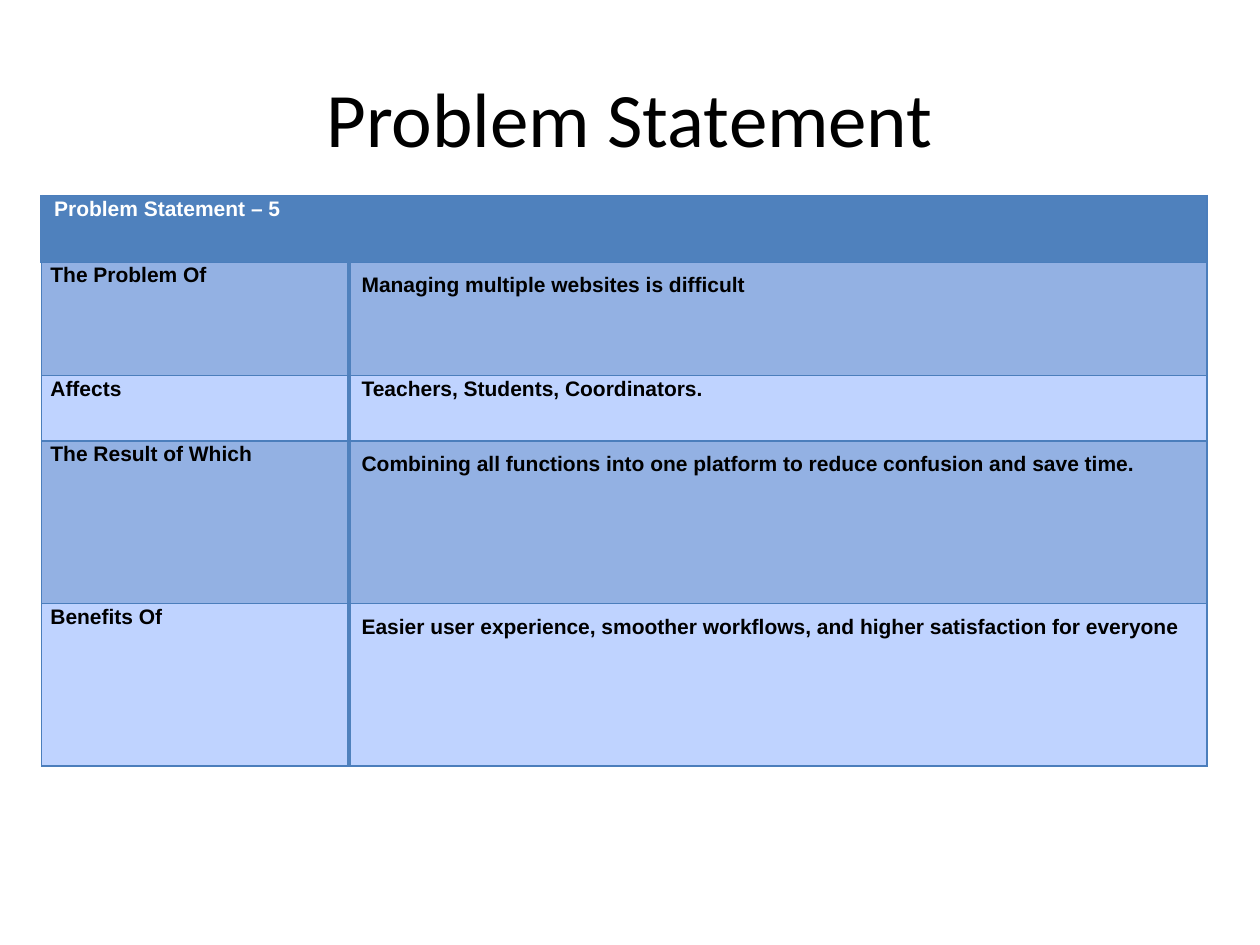
from dataclasses import dataclass

from lxml.etree import SubElement
from pptx import Presentation
from pptx.dml.color import RGBColor
from pptx.enum.text import MSO_ANCHOR, PP_ALIGN as Align
from pptx.oxml.ns import qn
from pptx.util import Inches, Pt


@dataclass(frozen=True)
class Theme:
    ink: str = "000000"
    paper: str = "FFFFFF"
    header: str = "4F81BD"
    dark_band: str = "93B1E3"
    light_band: str = "BFD3FF"
    rule: str = "4B7EBC"
    title_font: str = "Calibri"
    body_font: str = "Arial"
    title_size: int = 44
    body_size: int = 12
    thin: float = 0.75
    thick: float = 2


class Deck:
    """Places elements on a grid of 100 columns by 100 rows."""

    def __init__(self, theme):
        self.theme = theme
        self.deck = Presentation()
        self.deck.slide_width, self.deck.slide_height = Inches(10), Inches(7.5)
        self.slide = self.deck.slides.add_slide(self.deck.slide_layouts[6])

    def x(self, columns):
        return round(self.deck.slide_width * columns / 100)

    def y(self, rows):
        return round(self.deck.slide_height * rows / 100)

    def box(self, left, top, width, height):
        return self.x(left), self.y(top), self.x(width), self.y(height)

    def text(self, frame, wording, color, font, paragraph):
        line = frame.paragraphs[0]
        run = line.add_run()
        run.text = wording
        for target, values in ((line, paragraph), (run.font, font)):
            for name, value in values.items():
                setattr(target, name, value)
        run.font.color.rgb = RGBColor.from_string(color)
        return line

    def title(self, wording, *area):
        frame = self.slide.shapes.add_textbox(*self.box(*area)).text_frame
        frame.word_wrap = True
        frame.vertical_anchor = MSO_ANCHOR.MIDDLE
        font = {"name": self.theme.title_font, "size": Pt(self.theme.title_size)}
        self.text(frame, wording, self.theme.ink, font, {"alignment": Align.CENTER})

    def table(self, left, top, widths, heights):
        area = self.box(left, top, sum(widths), sum(heights))
        grid = self.slide.shapes.add_table(len(heights), len(widths), *area).table
        grid.first_row = grid.horz_banding = False
        for column, width in zip(grid.columns, widths):
            column.width = self.x(width)
        for row, height in zip(grid.rows, heights):
            row.height = self.y(height)
        return grid

    def cell(self, cell, wording, fill, color, indent, spacing=1.07,
             align=Align.LEFT, thick_sides=""):
        for side in ("left", "right", "top", "bottom"):
            setattr(cell, f"margin_{side}", 0)
        font = {"name": self.theme.body_font, "size": Pt(self.theme.body_size),
                "bold": True}
        paragraph = {"alignment": align, "line_spacing": spacing,
                     "space_before": Pt(3.5)}
        line = self.text(cell.text_frame, wording, color, font, paragraph)
        line._p.get_or_add_pPr().set("marL", str(Inches(indent)))
        self.borders(cell, thick_sides)
        cell.fill.solid()
        cell.fill.fore_color.rgb = RGBColor.from_string(fill)

    def borders(self, cell, thick_sides):
        """Rule all four sides; the sides named by letter (L, R, T, B) are thick."""
        properties = cell._tc.get_or_add_tcPr()
        for side in "LRTB":
            thick = side in thick_sides
            width = self.theme.thick if thick else self.theme.thin
            color = self.theme.header if thick else self.theme.rule
            border = SubElement(properties, qn(f"a:ln{side}"), w=str(Pt(width)))
            solid = SubElement(border, qn("a:solidFill"))
            SubElement(solid, qn("a:srgbClr"), val=color)

    def save(self):
        self.deck.save("out.pptx")


STATEMENT = [
    ("The Problem Of", "Managing multiple websites is difficult", 1.5, Align.LEFT),
    ("Affects", "Teachers, Students, Coordinators.", 1.07, Align.LEFT),
    ("The Result of Which",
     "Combining all functions into one platform to reduce confusion and save time.",
     1.5, Align.JUSTIFY),
    ("Benefits Of",
     "Easier user experience, smoother workflows, and higher satisfaction for everyone",
     1.5, Align.JUSTIFY),
]


def main():
    theme = Theme()
    deck = Deck(theme)
    deck.title("Problem Statement", 5, 4, 90, 16.67)

    grid = deck.table(3.3, 20.67, [24.4, 68.1], [7.07, 12, 6.93, 17.2, 17.2])
    heading = grid.cell(0, 0)
    heading.merge(grid.cell(0, 1))
    deck.cell(heading, "Problem Statement – 5", theme.header, theme.paper, 0.1,
              thick_sides="L")

    bands = (theme.dark_band, theme.light_band)
    for row, (label, detail, spacing, align) in enumerate(STATEMENT, start=1):
        band = bands[(row - 1) % 2]
        deck.cell(grid.cell(row, 0), label, band, theme.ink, 0.07, thick_sides="R")
        deck.cell(grid.cell(row, 1), detail, band, theme.ink, 0.1, spacing, align,
                  thick_sides="L")
    deck.save()


if __name__ == "__main__":
    main()
